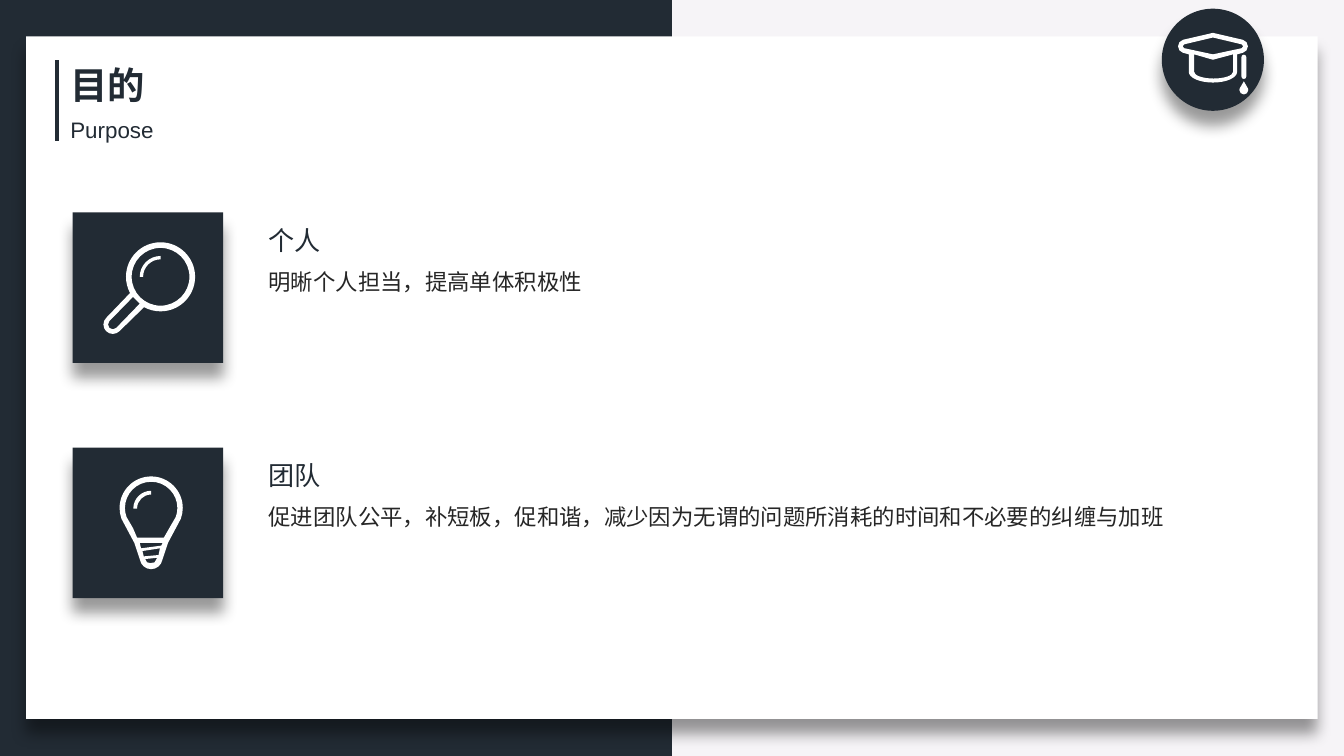
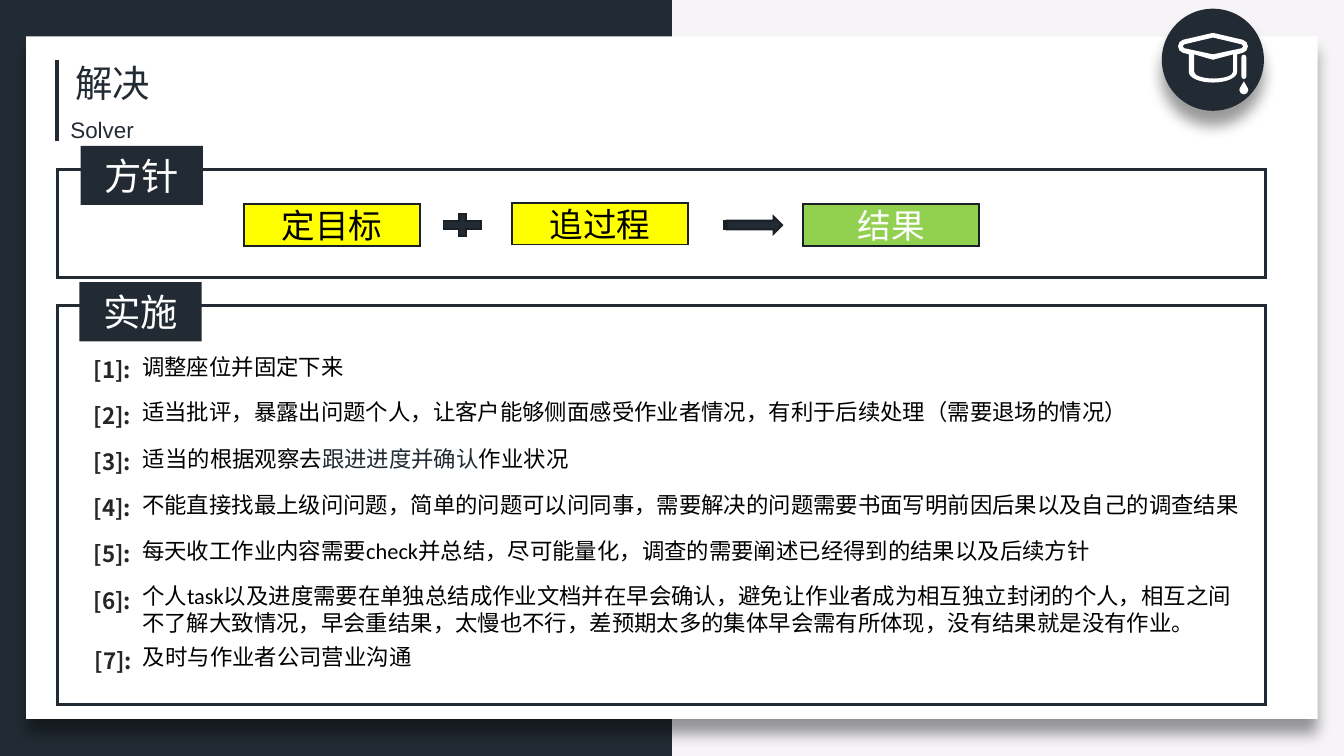
import dataclasses
import math

import lxml.etree
import pptx
import pptx.dml.color
import pptx.enum.shapes
import pptx.enum.text
import pptx.oxml.ns
import pptx.util

NAVY = pptx.dml.color.RGBColor(0x22, 0x2B, 0x34)
EDGE = pptx.dml.color.RGBColor(0x19, 0x20, 0x26)
MIST = pptx.dml.color.RGBColor(0xF6, 0xF4, 0xF7)
WHITE = pptx.dml.color.RGBColor(0xFF, 0xFF, 0xFF)
BLACK = pptx.dml.color.RGBColor(0x00, 0x00, 0x00)
CHARCOAL = pptx.dml.color.RGBColor(0x26, 0x26, 0x26)
YELLOW = pptx.dml.color.RGBColor(0xFF, 0xFF, 0x00)
GREEN = pptx.dml.color.RGBColor(0x92, 0xD0, 0x50)

CJK, SANS, BODY = "Noto Sans CJK SC", "Arial", "Calibri"
COLUMNS, ROWS = 100, 56.25
CELL = pptx.util.Inches(0.1)
SHAPE = pptx.enum.shapes.MSO_SHAPE
CENTER = pptx.enum.text.PP_ALIGN.CENTER


@dataclasses.dataclass
class Box:
    """Area measured in grid columns and rows."""

    left: float
    top: float
    width: float
    height: float

    def inside(self, left, top, width, height):
        """Return a box placed relative to this one."""
        return Box(self.left + left, self.top + top, width, height)

    def lengths(self):
        """Return the four lengths in EMU."""
        return [round(n * CELL) for n in dataclasses.astuple(self)]


PAGE = Box(0, 0, COLUMNS, ROWS)
CARD = PAGE.inside(1.95, 2.7, 96.1, 50.8)


def tag(name):
    """Return a qualified XML name."""
    return pptx.oxml.ns.qn(name)


def style_run(run, size, font, color, bold=False):
    """Format one run, with the East Asian font alongside."""
    run.font.size = pptx.util.Pt(size)
    run.font.bold = bold
    run.font.color.rgb = color
    run.font.name = font
    lxml.etree.SubElement(run.font._element, tag("a:ea"), typeface=CJK)


def finish(shape, fill=None, line=None, weight=1.0, shadow=False):
    """Set fill, outline and shadow of a shape."""
    shape.shadow.inherit = False
    if fill is None:
        shape.fill.background()
    else:
        shape.fill.solid()
        shape.fill.fore_color.rgb = fill
    if line is None:
        shape.line.fill.background()
    else:
        shape.line.color.rgb = line
        shape.line.width = pptx.util.Pt(weight)
        outline = shape._element.spPr.find(tag("a:ln"))
        lxml.etree.SubElement(outline, tag("a:miter"), lim="800000")
    if shadow:
        effects = shape._element.spPr.find(tag("a:effectLst"))
        outer = lxml.etree.SubElement(
            effects, tag("a:outerShdw"), blurRad=str(pptx.util.Pt(8)),
            dist=str(pptx.util.Pt(8)), dir="5400000", algn="t", rotWithShape="0")
        tint = lxml.etree.SubElement(outer, tag("a:srgbClr"), val="000000")
        lxml.etree.SubElement(tint, tag("a:alpha"), val="40000")


def add_block(slide, box, preset=SHAPE.RECTANGLE, **look):
    """Draw a preset shape in the given box."""
    block = slide.shapes.add_shape(preset, *box.lengths())
    finish(block, **look)
    return block


def add_label(block, text, size, font, color):
    """Write centred text on a block."""
    block.text_frame.text = text
    paragraph = block.text_frame.paragraphs[0]
    paragraph.alignment = CENTER
    style_run(paragraph.runs[0], size, font, color)


def add_text(slide, box, lines, size, font, color, bold=False, wrap=True, spaced=False, align=None):
    """Write lines of text, one paragraph each."""
    frame = slide.shapes.add_textbox(*box.lengths()).text_frame
    frame.word_wrap = wrap
    frame.auto_size = pptx.enum.text.MSO_AUTO_SIZE.SHAPE_TO_FIT_TEXT
    frame.text = "\n".join(lines)
    for paragraph in frame.paragraphs:
        paragraph.alignment = align
        if spaced:
            paragraph.line_spacing = 1.3
            paragraph.space_before = pptx.util.Pt(6)
        for run in paragraph.runs:
            style_run(run, size, font, color, bold)
    return frame


def arc(x, y, radius, start, end, depth=None):
    """Return a start point and Bézier pieces of an elliptical arc, split at the axes."""
    depth = radius if depth is None else depth
    low, high = sorted((start, end))
    axes = [a for a in range(-360, 720, 90) if low < a < high]
    angles = [math.radians(a) for a in sorted([start, *axes, end], reverse=end < start)]

    def at(angle, pull=0):
        return (x + radius * (math.cos(angle) - pull * math.sin(angle)),
                y + depth * (math.sin(angle) + pull * math.cos(angle)))

    pieces = [(at(angles[0]),)]
    for a, b in zip(angles, angles[1:]):
        pull = 4 / 3 * math.tan((b - a) / 4)
        pieces.append((at(a, pull), at(b, -pull), at(b)))
    return pieces


def corners(*points):
    """Return straight pieces through the points."""
    return [(point,) for point in points]


def gleam(x, y, radius, inner):
    """Return a quarter ring for the glint on glass."""
    return arc(x, y, radius, 180, 270) + arc(x, y, inner, 270, 180)


def bend(shape, contours):
    """Turn each run of three control points into one cubic curve."""
    straight = iter(list(shape._element.iter(tag("a:lnTo"))))
    for contour in contours:
        for piece in contour[1:]:
            first, *others = [next(straight) for _ in piece]
            if others:
                first.tag = tag("a:cubicBezTo")
                for other in others:
                    first.append(other[0])
                    other.getparent().remove(other)


def draw_icon(slide, box, parts):
    """Draw white outlines, with points in tenths of a cell from the box corner."""
    for contours in parts:
        builder = None
        for contour in contours:
            points = [((box.left + x / 10) * CELL, (box.top + y / 10) * CELL)
                      for piece in contour for x, y in piece]
            if builder is None:
                builder = slide.shapes.build_freeform(*points[0])
            else:
                builder.move_to(*points[0])
            builder.add_line_segments(points[1:], close=True)
        outline = builder.convert_to_shape()
        bend(outline, contours)
        finish(outline, fill=WHITE)


def cap_icon():
    """Return the outlines of the graduation cap."""
    rim = (corners((38, 18)) + arc(59, 28, 5, -75, 75) + corners((56, 34))
           + arc(38, 47, 18, 0, 180, 8) + corners((20, 34)) + arc(17, 28, 5, 105, 255))
    board = (corners((38, 21.5)) + arc(59, 28, 1.5, -75, 75) + corners((38, 34))
             + arc(17, 28, 1.5, 105, 255))
    band = corners((24, 34), (38, 38), (53, 34)) + arc(38.5, 47, 14.5, 0, 180, 5)
    cord = arc(61, 36, 1.8, 180, 360) + arc(61, 50.5, 1.8, 0, 180)
    drop = corners((61, 54)) + arc(61, 60.5, 3.3, -20, 200)
    return [[rim, board, band], [cord], [drop]]


def magnifier_icon():
    """Return the outlines of the magnifier."""
    outer = arc(65.5, 48, 25.7, 152, 478.5) + arc(30, 83.5, 7, 45, 225)
    lens = arc(65.5, 48, 21.5, 0, 360)
    handle = arc(30, 83.5, 3.6, 45, 225) + corners((45, 63), (50, 68))
    return [[outer, lens, handle], [gleam(65.5, 48, 15.5, 13)]]


def bulb_icon():
    """Return the outlines of the light bulb."""
    outer = (arc(58.5, 45, 23.5, 160, 380) + corners((71, 71))
             + arc(58.5, 82, 8.5, 10, 170) + corners((46, 71)))
    glass = (arc(58.5, 45, 19.5, 160, 380)
             + corners((72, 60), (68, 67), (48, 67), (45, 60)))
    threads = [
        corners((51, 75), (50, 71), (67, 71), (66, 73)),
        corners((64, 80), (53, 81), (52, 77), (65, 75)),
        corners((54, 83), (63, 82), (61, 85.5), (58, 86), (55.5, 85.5)),
    ]
    return [[outer, glass] + threads, [gleam(58.5, 45.5, 13.3, 10.5)]]


def add_frame(deck):
    """Add a slide with the shared backdrop, card, title rule and badge."""
    slide = deck.slides.add_slide(deck.slide_layouts[6])
    slide.background.fill.solid()
    slide.background.fill.fore_color.rgb = MIST
    add_block(slide, PAGE.inside(0, 0, COLUMNS / 2, ROWS), fill=NAVY)
    add_block(slide, CARD, fill=WHITE, shadow=True)
    x, top, _, height = CARD.inside(2.3, 1.8, 0, 6).lengths()
    rule = slide.shapes.add_connector(
        pptx.enum.shapes.MSO_CONNECTOR.STRAIGHT, x, top, x, top + height)
    rule.line.color.rgb = NAVY
    rule.line.width = pptx.util.Pt(2.25)
    lxml.etree.SubElement(rule._element.spPr, tag("a:effectLst"))
    badge = PAGE.inside(86.45, 0.65, 7.6, 7.6)
    add_block(slide, badge, SHAPE.OVAL, fill=NAVY, shadow=True)
    draw_icon(slide, badge, cap_icon())
    return slide


def add_title(slide, box, title, subtitle, bold=False, align=None, shift=0, rise=0):
    """Write the title with its English subtitle below."""
    add_text(slide, box.inside(shift, -rise, 7.6, 4.4), [title], 20, CJK, NAVY,
             bold, wrap=False, align=align)
    add_text(slide, box.inside(0, 4, box.width, 3), [subtitle], 12, SANS, NAVY, wrap=False)


def add_purpose(slide, box, heading, detail, icon):
    """Draw an icon tile with a heading and a sentence beside it."""
    tile = box.inside(0, 0, box.height, box.height)
    add_block(slide, tile, fill=NAVY, shadow=True)
    draw_icon(slide, tile, icon)
    add_text(slide, box.inside(13.6, 0.4, 5.9, 3.4), [heading], 14, SANS, NAVY, wrap=False)
    add_text(slide, box.inside(13.6, 3.05, 73.3, 3.4), [detail], 12, BODY, CHARCOAL, spaced=True)


def add_panel(slide, box, heading, indent):
    """Draw an outlined panel with a tab on its top edge."""
    add_block(slide, box, line=NAVY, weight=1.5)
    tab = add_block(slide, box.inside(indent, -1.75, 9.1, 4.4), fill=NAVY)
    add_label(tab, heading, 20, SANS, WHITE)


def add_policy(slide, box):
    """Draw the policy panel with its formula."""
    add_panel(slide, box, "方针", 1.75)
    steps = [
        ("定目标", 13.9, 2.6, YELLOW, BLACK),
        ("追过程", 33.85, 2.5, YELLOW, BLACK),
        ("结果", 55.5, 2.6, GREEN, WHITE),
    ]
    for step, left, top, fill, color in steps:
        block = add_block(slide, box.inside(left, top, 13.1, 3.1), fill=fill, line=EDGE)
        add_label(block, step, 18, BODY, color)
    add_block(slide, box.inside(28.25, 3, 3.8, 2.3), SHAPE.MATH_PLUS, fill=NAVY, line=EDGE)
    add_block(slide, box.inside(49.65, 3.5, 4.3, 1.3), SHAPE.STRIPED_RIGHT_ARROW,
              fill=NAVY, line=EDGE)


def add_actions(slide, box):
    """Draw the panel of numbered actions."""
    add_panel(slide, box, "实施", 1.65)
    actions = [
        (5.35, 3.05, 83.2, "调整座位并固定下来"),
        (5.35, 6.35, 83.2, "适当批评，暴露出问题个人，让客户能够侧面感受作业者情况，有利于后续处理（需要退场的情况）"),
        (5.4, 9.9, 83.2, "适当的根据观察去|跟进进度并确认|作业状况"),
        (5.35, 13.3, 84.4, "不能直接找最上级问问题，简单的问题可以问同事，需要解决的问题需要书面写明前因后果以及自己的调查结果"),
        (5.35, 16.7, 83.2, "每天收工作业内容需要check并总结，尽可能量化，调查的需要阐述已经得到的结果以及后续方针"),
        (5.35, 20.1, 83.2, "个人task以及进度需要在单独总结成作业文档并在早会确认，避免让作业者成为相互独立封闭的个人，"
         "相互之间不了解大致情况，早会重结果，太慢也不行，差预期太多的集体早会需有所体现，没有结果就是没有作业。"),
        (5.4, 24.65, 83.2, "及时与作业者公司营业沟通"),
    ]
    numbers = [f"[{i}]:" for i in range(1, len(actions) + 1)]
    for group, left, top, width in [(numbers[:-1], 1.75, 2.65, 78.3),
                                    (numbers[-1:], 1.8, 24.35, 6.2)]:
        add_text(slide, box.inside(left, top, width, 3.45 * len(group)), group, 12, CJK,
                 CHARCOAL, bold=True, spaced=True)
    for left, top, width, action in actions:
        plain, *rest = action.split("|")
        frame = add_text(slide, box.inside(left, top, width, 3), [plain], 12, BODY, BLACK)
        for piece, font, color in zip(rest, (SANS, BODY), (NAVY, BLACK)):
            run = frame.paragraphs[0].add_run()
            run.text = piece
            style_run(run, 12, font, color)


def build_purpose_slide(deck):
    """Build the slide on purpose."""
    slide = add_frame(deck)
    add_title(slide, CARD.inside(2.3, 1.45, 8.3, 7), "目的", "Purpose", bold=True)
    purposes = [
        ("个人", "明晰个人担当，提高单体积极性", magnifier_icon()),
        ("团队", "促进团队公平，补短板，促和谐，减少因为无谓的问题所消耗的时间和不必要的纠缠与加班",
         bulb_icon()),
    ]
    for i, purpose in enumerate(purposes):
        add_purpose(slide, CARD.inside(3.45, 13.1 + 17.5 * i, 86.9, 11.2), *purpose)


def build_solver_slide(deck):
    """Build the slide on the solution."""
    slide = add_frame(deck)
    add_title(slide, CARD.inside(2.3, 1.45, 6.8, 7), "解决", "Solver",
              align=CENTER, shift=0.35, rise=0.15)
    add_policy(slide, CARD.inside(2.3, 9.9, 89.9, 8.05))
    add_actions(slide, CARD.inside(2.3, 20.05, 89.9, 29.65))


def main():
    """Build and save the deck."""
    deck = pptx.Presentation()
    deck.slide_width = round(COLUMNS * CELL)
    deck.slide_height = round(ROWS * CELL)
    build_purpose_slide(deck)
    build_solver_slide(deck)
    deck.save("out.pptx")


if __name__ == "__main__":
    main()
